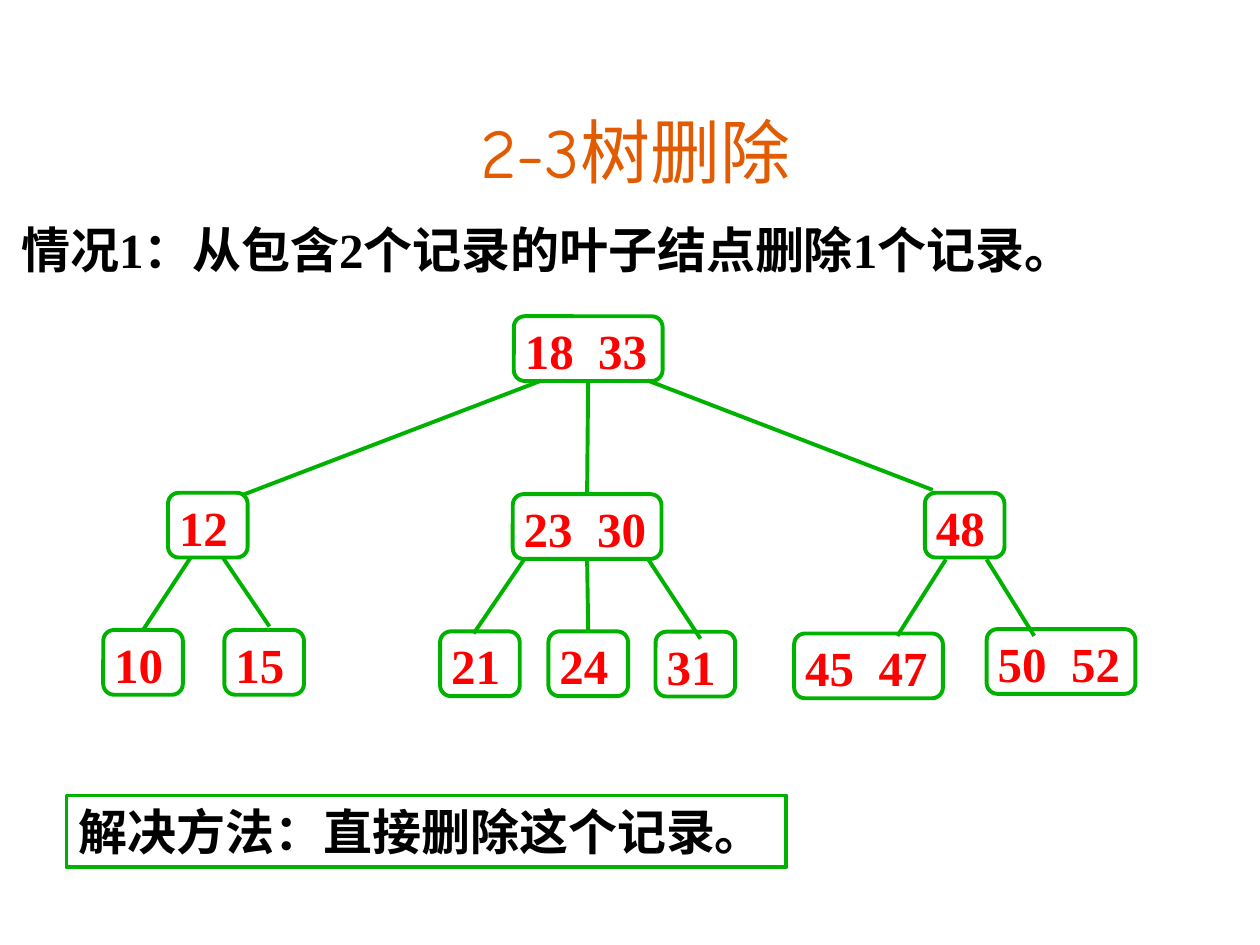
from lxml import etree
from pptx import Presentation
from pptx.dml.color import RGBColor
from pptx.enum.shapes import MSO_CONNECTOR, MSO_SHAPE
from pptx.enum.text import MSO_ANCHOR as ANCHOR, MSO_AUTO_SIZE as AUTO_SIZE, PP_ALIGN as ALIGN
from pptx.oxml.ns import qn
from pptx.util import Pt

GREEN = RGBColor(0x00, 0xB2, 0x00)
RED = RGBColor(0xFF, 0x00, 0x00)
BLACK = RGBColor(0x00, 0x00, 0x00)
ORANGE = RGBColor(0xE2, 0x5B, 0x00)
BODY_FONT = "Times New Roman"


def write(shape, text, color, align, font=BODY_FONT, size=28, bold=True):
    para = shape.text_frame.paragraphs[0]
    para.text = text
    para.alignment = align
    for span in para.runs:
        span.font.name = font
        span.font.size = Pt(size)
        span.font.bold = bold
        span.font.color.rgb = color


def add_outline(kind, left, top, width, height):
    box = page.shapes.add_shape(kind, Pt(left), Pt(top), Pt(width), Pt(height))
    box.shadow.inherit = False
    box.fill.background()
    box.line.color.rgb = GREEN
    box.line.width = Pt(2.25)
    return box


deck = Presentation()
deck.slide_width, deck.slide_height = Pt(720), Pt(540)
page = deck.slides.add_slide(deck.slide_layouts[5])

title = page.shapes.title
title.left, title.top, title.width, title.height = Pt(54), Pt(54), Pt(617.8), Pt(59.8)
title.text_frame.vertical_anchor = ANCHOR.BOTTOM
write(title, "2-3树删除", ORANGE, ALIGN.CENTER, "Comic Neue", 40, False)

case_box = page.shapes.add_textbox(Pt(5), Pt(121.7), Pt(661.7), Pt(41))
case_box.text_frame.word_wrap = False
case_box.text_frame.auto_size = AUTO_SIZE.SHAPE_TO_FIT_TEXT
case_box.text_frame.vertical_anchor = ANCHOR.MIDDLE
write(case_box, "情况1：从包含2个记录的叶子结点删除1个记录。", BLACK, ALIGN.LEFT)

NODES = [
    ("18  33", 293.6, 180.7),
    ("12", 96, 281.6),
    ("23  30", 293, 282.4),
    ("48", 528.5, 281.6),
    ("10", 59, 360),
    ("15", 128.2, 360),
    ("21", 251.5, 360.8),
    ("24", 313.4, 360.8),
    ("31", 374.6, 361),
    ("45  47", 453.8, 362),
    ("50  52", 563.8, 359.5),
]
nodes = {}
for keys, left, top in NODES:
    width = 85 if " " in keys else 45.5
    node = add_outline(MSO_SHAPE.ROUNDED_RECTANGLE, left, top, width, 37)
    frame = node.text_frame
    frame.vertical_anchor = ANCHOR.TOP
    frame.margin_left, frame.margin_right = Pt(4.5), Pt(1.5)
    frame.margin_top = frame.margin_bottom = Pt(0.75)
    write(node, keys, RED, ALIGN.JUSTIFY)
    nodes[keys] = node

BRANCHES = [
    ("18  33", "12", 309.6, 217.4, 138.2, 283),
    ("18  33", "23  30", 336.6, 217.4, 336.6, 282),
    ("18  33", "48", 370, 217.4, 533, 280),
    ("12", "10", 108.7, 319, 81.4, 360.7),
    ("12", "15", 127.6, 319, 154, 358),
    ("23  30", "21", 299.5, 319.7, 270.7, 362),
    ("23  30", "24", 336.6, 319.7, 336.6, 363.5),
    ("23  30", "31", 370, 319, 400.3, 365),
    ("48", "45  47", 540.5, 319.7, 512.8, 363.4),
    ("48", "50  52", 563.8, 319.7, 591, 363.4),
]
JOINED_STARTS = {"23  30", "24"}
JOINED_ENDS = {"23  30", "24", "10"}
for parent, child, *ends in BRANCHES:
    branch = page.shapes.add_connector(MSO_CONNECTOR.STRAIGHT, *map(Pt, ends))
    branch.line.color.rgb = GREEN
    branch.line.width = Pt(2.25)
    etree.SubElement(branch._element.spPr, qn("a:effectLst"))
    if child in JOINED_STARTS:
        branch.begin_connect(nodes[parent], 2)
    if child in JOINED_ENDS:
        branch.end_connect(nodes[child], 0)

solution = add_outline(MSO_SHAPE.RECTANGLE, 38, 454.6, 411.4, 41)
solution.text_frame.auto_size = AUTO_SIZE.SHAPE_TO_FIT_TEXT
solution.text_frame.vertical_anchor = ANCHOR.MIDDLE
write(solution, "解决方法：直接删除这个记录。", BLACK, ALIGN.LEFT)

deck.save("out.pptx")
